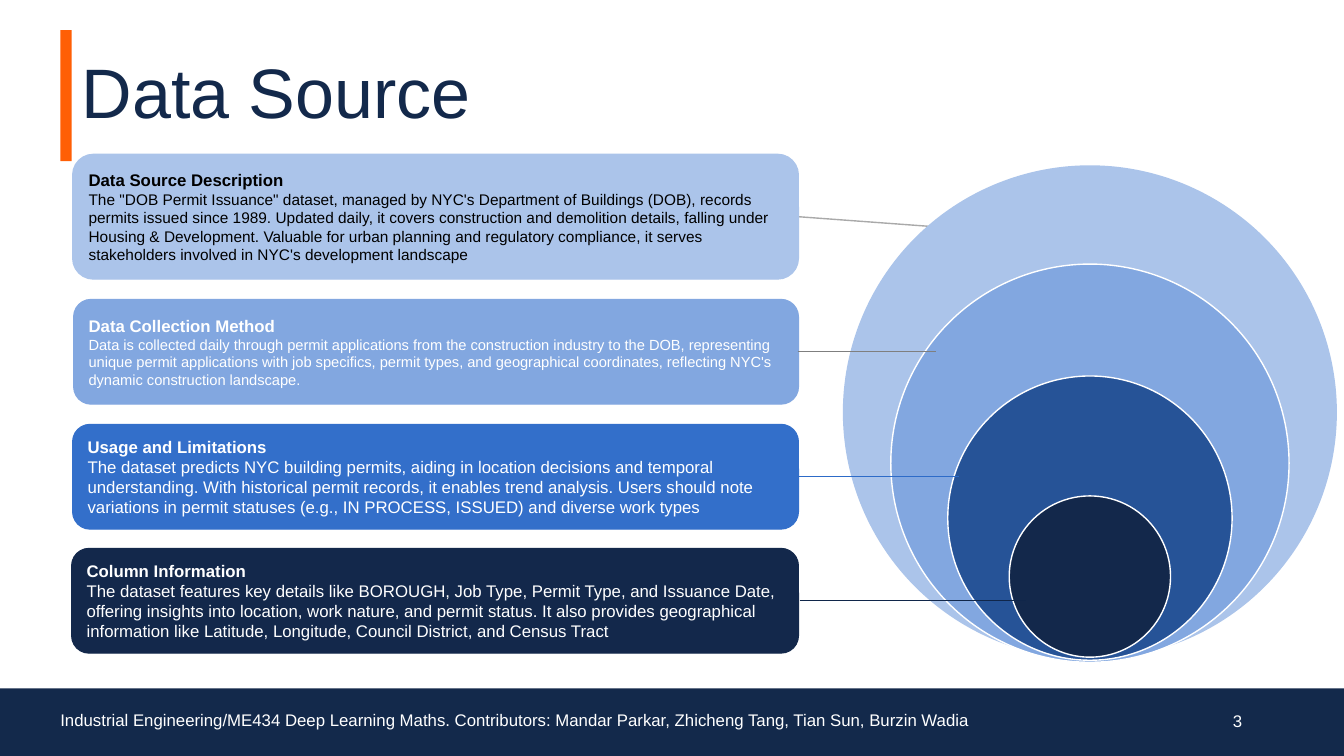
from pptx import Presentation
from pptx.dml.color import RGBColor
from pptx.enum.shapes import MSO_CONNECTOR, MSO_SHAPE
from pptx.enum.text import MSO_ANCHOR, MSO_AUTO_SIZE, PP_ALIGN
from pptx.oxml.ns import qn
from pptx.util import Inches, Pt
from lxml.etree import SubElement

ORANGE = RGBColor(0xFF, 0x5F, 0x05)
NAVY = RGBColor(0x13, 0x29, 0x4B)
DEEP_NAVY = RGBColor(0x13, 0x28, 0x4B)
ROYAL = RGBColor(0x33, 0x6F, 0xCA)
COBALT = RGBColor(0x26, 0x53, 0x97)
SKY = RGBColor(0x82, 0xA7, 0xE0)
PALE = RGBColor(0xAB, 0xC4, 0xEA)
WHITE = RGBColor(0xFF, 0xFF, 0xFF)
BLACK = RGBColor(0, 0, 0)
LIGHT_GRAY = RGBColor(0xA9, 0xA9, 0xA9)
GRAY = RGBColor(0x7F, 0x7F, 0x7F)
LEADER_BLUE = RGBColor(0x2D, 0x6B, 0xC8)
LEADER_NAVY = RGBColor(0x10, 0x26, 0x4A)

RINGS_CENTER = 10.81

RINGS = [
    (1.64, 4.9, PALE, None),
    (2.62, 3.95, SKY, WHITE),
    (3.73, 2.82, COBALT, WHITE),
    (4.92, 1.6, DEEP_NAVY, WHITE),
]

CARDS = [
    (0.72, 1.53, 7.2, 1.24, PALE, BLACK, 11, "Data Source Description",
     "The \"DOB Permit Issuance\" dataset, managed by NYC's Department of Buildings (DOB), "
     "records permits issued since 1989. Updated daily, it covers construction and demolition "
     "details, falling under Housing & Development. Valuable for urban planning and regulatory "
     "compliance, it serves stakeholders involved in NYC's development landscape"),
    (0.73, 2.97, 7.19, 1.04, SKY, WHITE, 10.5, "Data Collection Method",
     "Data is collected daily through permit applications from the construction industry to "
     "the DOB, representing unique permit applications with job specifics, permit types, and "
     "geographical coordinates, reflecting NYC's dynamic construction landscape."),
    (0.72, 4.21, 7.2, 1.04, ROYAL, WHITE, 12, "Usage and Limitations",
     "The dataset predicts NYC building permits, aiding in location decisions and temporal "
     "understanding. With historical permit records, it enables trend analysis. Users should "
     "note variations in permit statuses (e.g., IN PROCESS, ISSUED) and diverse work types"),
    (0.71, 5.44, 7.21, 1.04, DEEP_NAVY, WHITE, 12, "Column Information",
     "The dataset features key details like BOROUGH, Job Type, Permit Type, and Issuance Date, "
     "offering insights into location, work nature, and permit status. It also provides "
     "geographical information like Latitude, Longitude, Council District, and Census Tract"),
]

LEADERS = [
    (7.91, 3.49, 9.28, 3.49, GRAY),
    (7.91, 4.73, 9.51, 4.73, LEADER_BLUE),
    (7.93, 5.96, 10.18, 5.96, LEADER_NAVY),
]


def apply_format(target, values):
    for name, value in values.items():
        setattr(target, name, value)


def format_frame(frame, side=0.1, edge=0.05):
    apply_format(frame, {
        "word_wrap": True,
        "auto_size": MSO_AUTO_SIZE.NONE,
        "vertical_anchor": MSO_ANCHOR.MIDDLE,
        "margin_left": Inches(side),
        "margin_right": Inches(side),
        "margin_top": Inches(edge),
        "margin_bottom": Inches(edge),
    })


def write(paragraph, text, size, color, bold=False, align=PP_ALIGN.LEFT, spacing=1.0):
    apply_format(paragraph, {"alignment": align, "line_spacing": spacing})
    run = paragraph.add_run()
    run.text = text
    apply_format(run.font, {"name": "Arial", "size": Pt(size), "bold": bold})
    run.font.color.rgb = color


def add_block(slide, kind, left, top, width, height, fill, outline=None, weight=1):
    block = slide.shapes.add_shape(
        kind, Inches(left), Inches(top), Inches(width), Inches(height))
    block.shadow.inherit = False
    block.fill.solid()
    block.fill.fore_color.rgb = fill
    if outline is None:
        block.line.fill.background()
    else:
        block.line.color.rgb = outline
        block.line.width = Pt(weight)
    return block


def add_title(slide, text):
    title = slide.shapes.title
    apply_format(title, {
        "left": Inches(0.71), "top": Inches(0.3),
        "width": Inches(11.34), "height": Inches(1.3),
    })
    format_frame(title.text_frame)
    write(title.text_frame.paragraphs[0], text, 50, NAVY, spacing=0.9)


def add_footer_text(slide, left, width, text, align, spacing):
    footer = slide.shapes.add_textbox(
        Inches(left), Inches(6.95), Inches(width), Inches(0.4))
    format_frame(footer.text_frame)
    write(footer.text_frame.paragraphs[0], text, 12, WHITE, align=align, spacing=spacing)


def add_card(slide, left, top, width, height, fill, ink, size, heading, body):
    card = add_block(slide, MSO_SHAPE.ROUNDED_RECTANGLE,
                     left, top, width, height, fill, fill, 0.75)
    frame = card.text_frame
    format_frame(frame, edge=0.1)
    write(frame.paragraphs[0], heading, 12, ink, bold=True)
    write(frame.add_paragraph(), body, size, ink)


def add_ring(slide, top, diameter, fill, outline):
    add_block(slide, MSO_SHAPE.OVAL, RINGS_CENTER - diameter / 2, top,
              diameter, diameter, fill, outline)


def add_leader(slide, x1, y1, x2, y2, color):
    leader = slide.shapes.add_connector(
        MSO_CONNECTOR.STRAIGHT, Inches(x1), Inches(y1), Inches(x2), Inches(y2))
    leader.line.color.rgb = color
    leader.line.width = Pt(1)
    SubElement(leader._element.spPr, qn("a:effectLst"))


def main():
    deck = Presentation()
    apply_format(deck, {"slide_width": Inches(13.33), "slide_height": Inches(7.5)})
    slide = deck.slides.add_slide(deck.slide_layouts[5])

    add_title(slide, "Data Source")
    add_block(slide, MSO_SHAPE.RECTANGLE, 0.6, 0.3, 0.11, 1.3, ORANGE)
    add_block(slide, MSO_SHAPE.RECTANGLE, 0, 6.83, 13.33, 0.67, NAVY)
    add_footer_text(
        slide, 0.5, 9.68,
        "Industrial Engineering/ME434 Deep Learning Maths. Contributors: "
        "Mandar Parkar, Zhicheng Tang, Tian Sun, Burzin Wadia", PP_ALIGN.LEFT, 0.9)
    add_footer_text(slide, 9.42, 3, "3", PP_ALIGN.RIGHT, 1.0)

    add_leader(slide, 7.92, 2.15, 9.28, 2.25, LIGHT_GRAY)
    for card in CARDS:
        add_card(slide, *card)
    for ring in RINGS:
        add_ring(slide, *ring)
    for leader in LEADERS:
        add_leader(slide, *leader)

    deck.save("out.pptx")


if __name__ == "__main__":
    main()
